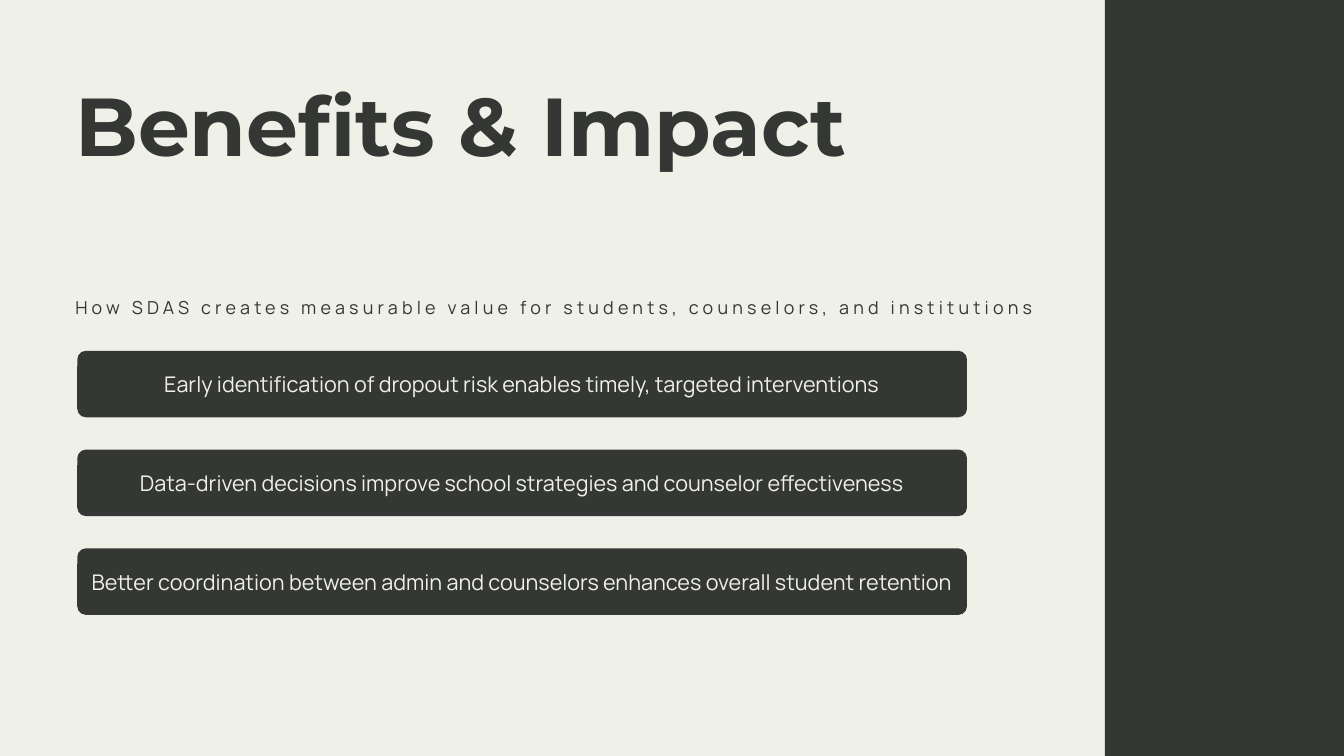
"""Build the Benefits & Impact slide with three benefit bars and a dark side panel."""
from pptx import Presentation
from pptx.dml.color import RGBColor
from pptx.enum.shapes import MSO_SHAPE
from pptx.enum.text import MSO_ANCHOR, PP_ALIGN
from pptx.util import Inches, Pt

COLORS = {"paper": "EFF1E8", "ink": "343734"}
BENEFITS = [
    "Early identification of dropout risk enables timely, targeted interventions",
    "Data-driven decisions improve school strategies and counselor effectiveness",
    "Better coordination between admin and counselors enhances overall student retention",
]


def add_panel(kind, left, top, width, height):
    panel = slide.shapes.add_shape(
        kind, Inches(left), Inches(top), Inches(width), Inches(height)
    )
    panel.shadow.inherit = False
    panel.fill.solid()
    panel.fill.fore_color.rgb = RGBColor.from_string(COLORS["ink"])
    panel.line.fill.background()
    return panel


def write_line(holder, text, font, size, color, spacing, align=PP_ALIGN.LEFT):
    frame = holder.text_frame
    frame.word_wrap = True
    frame.margin_left = frame.margin_right = 0
    frame.margin_top = frame.margin_bottom = 0
    paragraph = frame.paragraphs[0]
    paragraph.alignment = align
    paragraph.line_spacing = Pt(spacing)
    run = paragraph.add_run()
    run.text = text
    run.font.name = font
    run.font.size = Pt(size)
    run.font.color.rgb = RGBColor.from_string(COLORS[color])
    return run


deck = Presentation()
deck.slide_width = Inches(20)
deck.slide_height = Inches(11.25)
slide = deck.slides.add_slide(deck.slide_layouts[6])
slide.background.fill.solid()
slide.background.fill.fore_color.rgb = RGBColor.from_string(COLORS["paper"])

add_panel(MSO_SHAPE.RECTANGLE, 16.44, 0, 3.56, 11.25)

title = slide.shapes.add_textbox(Inches(1.12), Inches(1.23), Inches(15.15), Inches(1.36))
title_run = write_line(title, "Benefits & Impact", "Montserrat", 88, "ink", 96.8)
title_run.font.bold = True

subtitle = slide.shapes.add_textbox(Inches(1.12), Inches(4.36), Inches(15.15), Inches(0.36))
subtitle_run = write_line(
    subtitle,
    "How SDAS creates measurable value for students, counselors, and institutions",
    "Manrope", 19.2, "ink", 26.9,
)
subtitle_run.font._element.set("spc", "450")

for row, benefit in enumerate(BENEFITS):
    bar = add_panel(MSO_SHAPE.ROUNDED_RECTANGLE, 1.15, 5.22 + row * 1.47, 13.24, 0.99)
    bar.adjustments[0] = 0.13
    write_line(bar, benefit, "Manrope", 23.1, "paper", 32.3, PP_ALIGN.CENTER)
    bar.text_frame.vertical_anchor = MSO_ANCHOR.MIDDLE
    bar.text_frame.margin_bottom = Inches(0.06)

deck.save("out.pptx")
